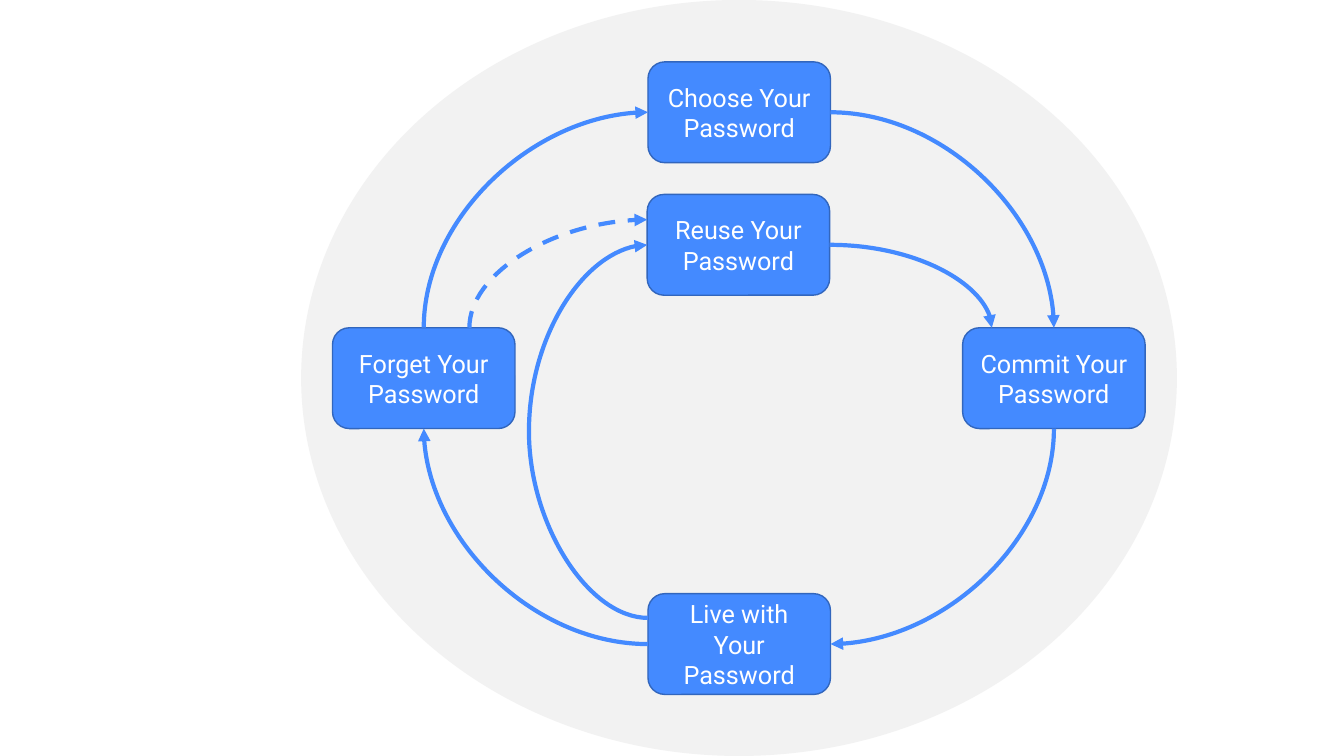
import pptx
import pptx.util
import pptx.dml.color
import pptx.enum.dml
import pptx.enum.shapes
import pptx.enum.text
import pptx.oxml
import pptx.oxml.ns
import lxml.etree

Cm, Pt = pptx.util.Cm, pptx.util.Pt
RGBColor = pptx.dml.color.RGBColor
SHAPE = pptx.enum.shapes.MSO_SHAPE
qn = pptx.oxml.ns.qn

BLUE = RGBColor(0x44, 0x8A, 0xFF)
EDGE = RGBColor(0x32, 0x66, 0xBD)
PALE = RGBColor(0xF2, 0xF2, 0xF2)
WHITE = RGBColor(0xFF, 0xFF, 0xFF)
LABEL = {"name": "Roboto", "size": Pt(18)}

CARD_W, CARD_H = Cm(4.6), Cm(2.54)
BULGE = Cm(3)

# Stage: left and top of its card, measured from the cycle's box
STAGES = {
    "Forget": ("Forget Your Password", 0.79, 8.26),
    "Choose": ("Choose Your Password", 8.74, 1.56),
    "Commit": ("Commit Your Password", 16.67, 8.26),
    "Live": ("Live with Your Password", 8.74, 14.96),
    "Reuse": ("Reuse Your Password", 8.72, 4.9),
}

# Start card and port, end card and port, quarter turns, preset, dashed.
# A port is a fraction of the card's width and height.
BEND, LOOP = "curvedConnector2", "curvedConnector3"
ARROWS = [
    ("Choose", (1, 0.5), "Commit", (0.5, 0), 0, BEND, False),
    ("Commit", (0.5, 1), "Live", (1, 0.5), 1, BEND, False),
    ("Live", (0, 0.5), "Forget", (0.5, 1), 2, BEND, False),
    ("Forget", (0.5, 0), "Choose", (0, 0.5), 1, BEND, False),
    ("Forget", (0.75, 0), "Reuse", (0, 0.25), 1, BEND, True),
    ("Live", (0, 0.24), "Reuse", (0, 0.5), 2, LOOP, False),
    ("Reuse", (1, 0.5), "Commit", (0.16, 0), 0, BEND, False),
]


def add_filled(slide, kind, box, color):
    s = slide.shapes.add_shape(kind, *box)
    s.shadow.inherit = False
    s.fill.solid()
    s.fill.fore_color.rgb = color
    s.line.fill.background()
    return s


def add_card(slide, text, left, top):
    s = add_filled(slide, SHAPE.ROUNDED_RECTANGLE, (left, top, CARD_W, CARD_H), BLUE)
    s.line.color.rgb = EDGE
    s.line.width = Pt(1)
    tf = s.text_frame
    tf.word_wrap = True
    tf.vertical_anchor = pptx.enum.text.MSO_ANCHOR.MIDDLE
    p = tf.paragraphs[0]
    p.alignment = pptx.enum.text.PP_ALIGN.CENTER
    r = p.add_run()
    r.text = text
    for key, value in LABEL.items():
        setattr(r.font, key, value)
    r.font.color.rgb = WHITE
    return s


def port(card, at):
    return card.left + card.width * at[0], card.top + card.height * at[1]


def add_arrow(slide, start, end, turns, preset, dashed):
    # Turn the ends back about their middle to get the unrotated frame
    mid_x, mid_y = (start[0] + end[0]) / 2, (start[1] + end[1]) / 2
    dx, dy = start[0] - mid_x, start[1] - mid_y
    for _ in range(turns):
        dx, dy = dy, -dx
    ends = [round(v) for v in (mid_x + dx, mid_y + dy, mid_x - dx, mid_y - dy)]
    c = slide.shapes.add_connector(pptx.enum.shapes.MSO_CONNECTOR.CURVE, *ends)
    c.line.color.rgb = BLUE
    c.line.width = Pt(3)
    if dashed:
        c.line.dash_style = pptx.enum.dml.MSO_LINE.DASH

    # Rotation, curve preset, arrowhead and no shadow
    sp_pr = c._element.spPr
    if turns:
        sp_pr.find(qn("a:xfrm")).set("rot", str(turns * 90 * 60000))
    geom = sp_pr.find(qn("a:prstGeom"))
    geom.set("prst", preset)
    if preset == LOOP:
        guides = geom.find(qn("a:avLst"))
        if guides is None:
            guides = lxml.etree.SubElement(geom, qn("a:avLst"))
        reach = round(BULGE / c.width * 100000)
        lxml.etree.SubElement(guides, qn("a:gd"), name="adj1", fmla=f"val {reach}")
    lxml.etree.SubElement(sp_pr.find(qn("a:ln")), qn("a:tailEnd"), type="triangle")
    lxml.etree.SubElement(sp_pr, qn("a:effectLst"))


def add_cycle(slide, left, top, width, height):
    # Backdrop
    add_filled(slide, SHAPE.OVAL, (left, top, width, height), PALE)
    # Stage cards
    cards = {name: add_card(slide, text, left + Cm(x), top + Cm(y))
             for name, (text, x, y) in STAGES.items()}
    # Arrows between the stages
    for a, a_port, b, b_port, turns, preset, dashed in ARROWS:
        add_arrow(slide, port(cards[a], a_port), port(cards[b], b_port),
                  turns, preset, dashed)


def main():
    prs = pptx.Presentation()
    prs.slide_width, prs.slide_height = Cm(33.87), Cm(19.05)
    slide = prs.slides.add_slide(prs.slide_layouts[6])
    add_cycle(slide, Cm(7.59), Cm(0), Cm(22.07), Cm(19.05))
    prs.save("out.pptx")


if __name__ == "__main__":
    main()
